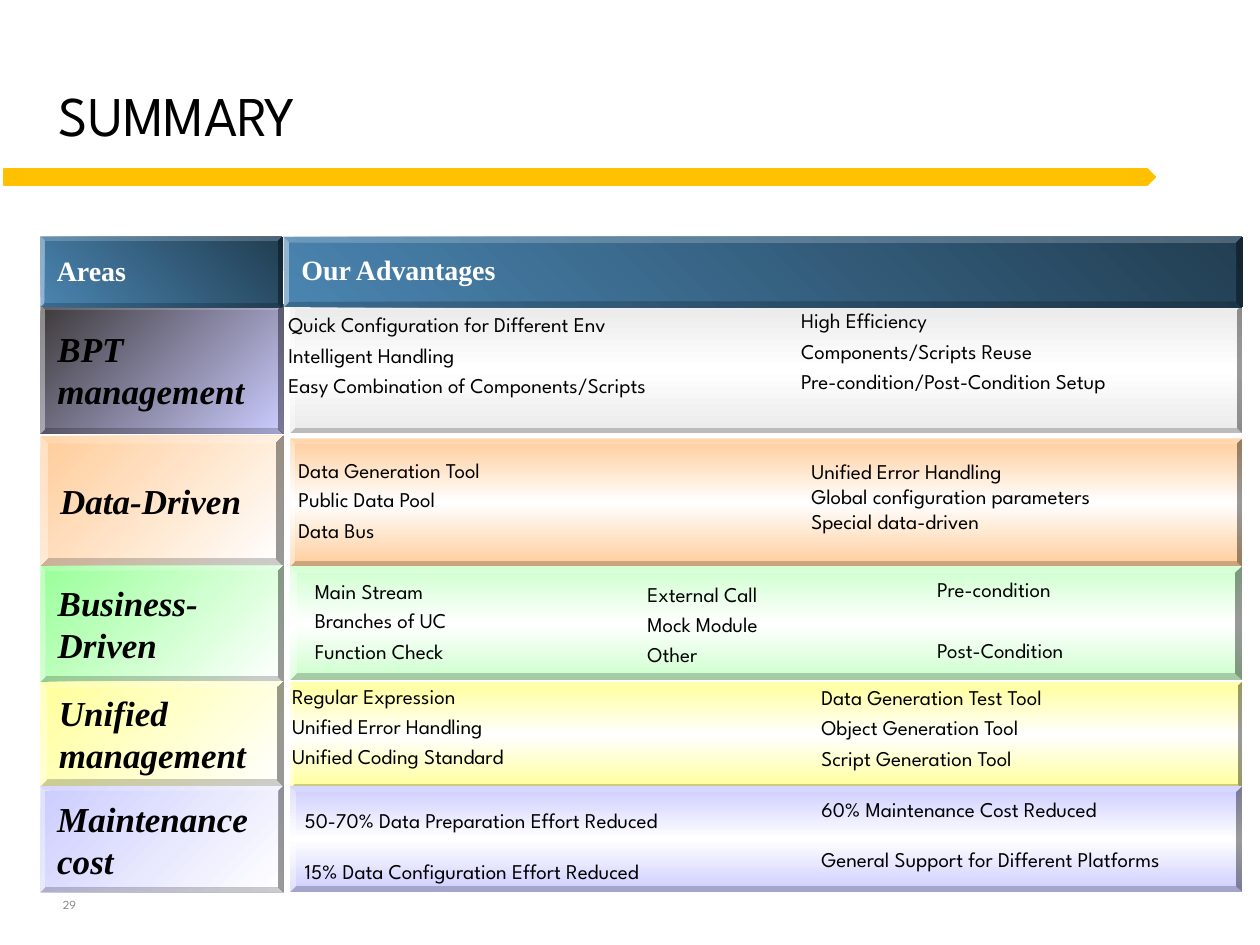
from copy import deepcopy

from pptx import Presentation
from pptx.dml.color import RGBColor
from pptx.enum.shapes import MSO_SHAPE
from pptx.enum.text import MSO_ANCHOR, PP_ALIGN
from pptx.util import Inches, Pt

BEVEL, PENTAGON = MSO_SHAPE.BEVEL, MSO_SHAPE.PENTAGON
LEFT, TOP, MIDDLE = PP_ALIGN.LEFT, MSO_ANCHOR.TOP, MSO_ANCHOR.MIDDLE

COLS, ROWS, UNIT = 100, 75, 0.1  # grid of tenths of an inch
LABEL_COL, LABEL_COLS = 3.2, 19.3
BODY_COL, BODY_COLS = 23, 75.6

SANS, SERIF = "League Spartan", "Times New Roman"
BLACK, WHITE, GREY, GOLD = "000000", "FFFFFF", "878787", "FFC000"
HEADER_BLUES = ("4A85B1", "223E52")

ITEM_FONT = {"name": SANS, "size": Pt(12)}
AREA_FONT = {"name": SERIF, "size": Pt(20), "bold": True, "italic": True}
HEADER_FONT = {"name": SERIF, "size": Pt(16), "bold": True}

LOOSE = {"line_spacing": 0.95, "space_before": Pt(3.6)}
SPLIT = {"line_spacing": 0.95, "space_before": Pt(21)}
PLAIN = {}
APART = {"space_before": Pt(14.6)}

# area, (row, rows, bevel) of the label, label colours, (row, rows, bevel) of the body, body edge
AREAS = [
    ("BPT management", (24.2, 10.2, 0.037), ("3D393B", "CCCCFF"), (24.2, 10.2, 0.043), "EAEAEA"),
    ("Data-Driven", (34.6, 10.3, 0.057), ("FFCC99", WHITE), (34.8, 10.2, 0.043), "FFCC99"),
    ("Business-Driven", (44.9, 9.2, 0.043), ("99FF99", WHITE), (44.9, 9.1, 0.063), "CCFFCC"),
    ("Unified management", (54.1, 8.3, 0.06), ("FFFF99", WHITE), (54.1, 8.5, 0.043), "FFFF99"),
    ("Maintenance cost", (62.4, 8.4, 0.043), ("CCCCFF", WHITE), (62.4, 8.4, 0.057), "CCCCFF"),
]

# (col, row, cols, rows), format of the first item, format of the others, items
ADVANTAGES = [
    ((21.9, 24.4, 41.5, 8), LOOSE, LOOSE,
     ["Quick Configuration for Different Env", "Intelligent Handling",
      "Easy Combination of Components/Scripts"]),
    ((62.6, 24.1, 35.4, 10.5), LOOSE, LOOSE,
     ["High Efficiency", "Components/Scripts Reuse", "Pre-condition/Post-Condition Setup"]),
    ((22.7, 35.8, 23.4, 8.1), PLAIN, LOOSE,
     ["Data Generation Tool", "Public Data Pool", "Data Bus"]),
    ((63.4, 35.9, 33.9, 7.1), PLAIN, PLAIN,
     ["Unified Error Handling", "Global configuration parameters", "Special data-driven"]),
    ((24, 45.4, 25, 8.1), PLAIN, LOOSE,
     ["Main Stream", "Branches of UC", "Function Check"]),
    ((50.4, 45.8, 22.1, 8), LOOSE, LOOSE,
     ["External Call", "Mock Module", "Other"]),
    ((73.4, 45.4, 26.6, 8), LOOSE, SPLIT,
     ["Pre-condition", "Post-Condition"]),
    ((22.2, 53.9, 37.2, 8), LOOSE, LOOSE,
     ["Regular Expression", "Unified Error Handling", "Unified Coding Standard"]),
    ((64.2, 54, 26.8, 8), LOOSE, LOOSE,
     ["Data Generation Test Tool", "Object Generation Tool", "Script Generation Tool"]),
    ((23.2, 63.6, 36.2, 7.1), PLAIN, APART,
     ["50-70% Data Preparation Effort Reduced", "15% Data Configuration Effort Reduced"]),
    ((64.2, 62.7, 35.8, 7.1), PLAIN, APART,
     ["60% Maintenance Cost Reduced", "General Support for Different Platforms"]),
]


def rgb(hex_colour):
    return RGBColor.from_string(hex_colour)


def grid(*cells):
    return [Inches(cell * UNIT) for cell in cells]


def apply(target, values):
    for name, value in values.items():
        setattr(target, name, value)


def write(frame, items, font, colour=BLACK, first=PLAIN, others=PLAIN, anchor=TOP):
    """Fill a text frame with one paragraph for each item."""
    apply(frame, {"word_wrap": True, "vertical_anchor": anchor})
    for index, item in enumerate(items):
        paragraph = frame.add_paragraph() if index else frame.paragraphs[0]
        paragraph.alignment = LEFT
        apply(paragraph, others if index else first)
        run = paragraph.add_run()
        run.text = item
        apply(run.font, font)
        run.font.color.rgb = rgb(colour)


def add_text(slide, cells, items, font, **options):
    write(slide.shapes.add_textbox(*grid(*cells)).text_frame, items, font, **options)


def shade(fill, colours, angle):
    """Spread two or three colours evenly along a counter-clockwise angle."""
    fill.gradient()
    fill.gradient_angle = angle
    stop_list = fill._fill._gradFill.gsLst
    if len(colours) == 3:
        stop_list.insert(1, deepcopy(stop_list[0]))
    for index, (stop, colour) in enumerate(zip(fill.gradient_stops, colours)):
        stop.position = index / (len(colours) - 1)
        stop.color.rgb = rgb(colour)


def add_bevel(slide, cells, depth, colours, angle):
    bevel = slide.shapes.add_shape(BEVEL, *grid(*cells))
    bevel.shadow.inherit = False
    bevel.adjustments[0] = depth
    bevel.line.fill.background()
    shade(bevel.fill, colours, angle)
    return bevel


def add_rule(slide):
    rule = slide.shapes.add_shape(PENTAGON, *grid(0.3, 13.4, 91.4, 1.3))
    rule.shadow.inherit = False
    rule.fill.solid()
    rule.fill.fore_color.rgb = rgb(GOLD)
    rule.line.color.rgb = rgb(GOLD)
    rule.line.width = Pt(0.75)


def add_area(slide, area, label_band, label_colours, body_band, edge):
    row, rows, depth = body_band
    add_bevel(slide, (BODY_COL, row, BODY_COLS, rows), depth, (edge, WHITE, edge), 270)
    row, rows, depth = label_band
    label = add_bevel(slide, (LABEL_COL, row, LABEL_COLS, rows), depth, label_colours, 315)
    write(label.text_frame, [area], AREA_FONT, anchor=MIDDLE)


def add_header(slide, heading, col, cols, depth, line_spacing):
    header = add_bevel(slide, (col, 18.8, cols, 5.6), depth, HEADER_BLUES, 45)
    write(header.text_frame, [heading], HEADER_FONT, WHITE,
          first={"line_spacing": line_spacing}, anchor=MIDDLE)


def main():
    deck = Presentation()
    deck.slide_width, deck.slide_height = grid(COLS, ROWS)
    slide = deck.slides.add_slide(deck.slide_layouts[6])

    add_text(slide, (3.7, 4.6, 91.6, 9.6), ["SUMMARY"], {"name": SANS, "size": Pt(32)},
             first={"line_spacing": Pt(33)}, anchor=MIDDLE)
    add_rule(slide)
    for area in AREAS:
        add_area(slide, *area)
    add_header(slide, "Areas", LABEL_COL, 19.2, 0.059, 0.9)
    add_header(slide, "Our Advantages", 22.5, 76.1, 0.078, 0.8)
    for cells, first, others, items in ADVANTAGES:
        add_text(slide, cells, items, ITEM_FONT, first=first, others=others)
    add_text(slide, (4, 70.7, 4.2, 2.2), ["29"], {"name": SANS, "size": Pt(7)}, colour=GREY)
    deck.save("out.pptx")


if __name__ == "__main__":
    main()
